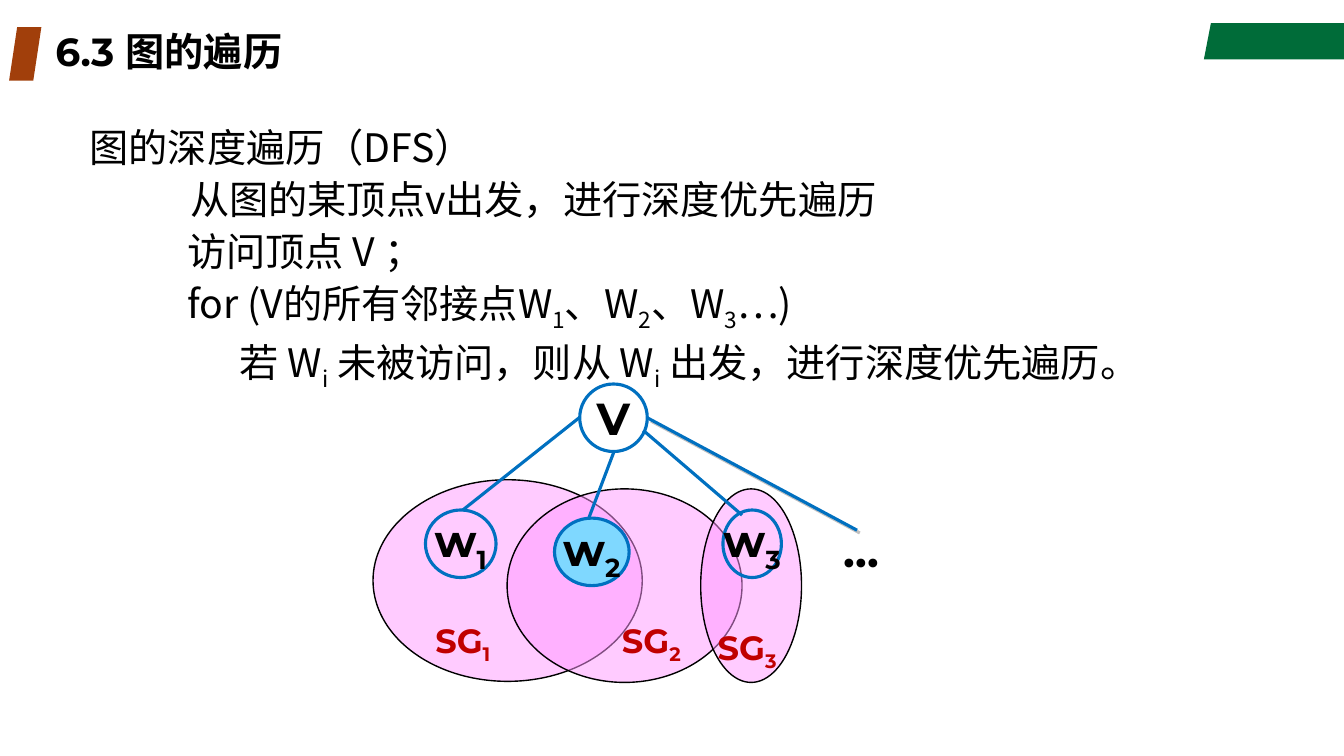
import pptx
import pptx.util
import pptx.dml.color
import pptx.enum.shapes
import pptx.enum.text
import pptx.oxml
import pptx.oxml.ns
from lxml import etree

Inches, Pt = pptx.util.Inches, pptx.util.Pt
RGBColor = pptx.dml.color.RGBColor
SHAPE = pptx.enum.shapes.MSO_SHAPE
ALIGN = pptx.enum.text.PP_ALIGN
ANCHOR = pptx.enum.text.MSO_ANCHOR
qn = pptx.oxml.ns.qn

BLACK = RGBColor(0x00, 0x00, 0x00)
GREEN = RGBColor(0x00, 0x6C, 0x39)
BROWN = RGBColor(0xA1, 0x3F, 0x0B)
BLUE = RGBColor(0x00, 0x70, 0xC0)
PINK = RGBColor(0xFF, 0x99, 0xFF)
CYAN = RGBColor(0x00, 0xFF, 0xFF)
RED = RGBColor(0xC0, 0x00, 0x00)
GREY = RGBColor(0xC0, 0xC0, 0xC0)
HEAD_FONT = "Montserrat"
BODY_FONT = "Noto Sans CJK SC"


def add_runs(p, texts, size, color=BLACK, font=HEAD_FONT, bold=True):
    for i, text in enumerate(texts):
        r = p.add_run()
        r.text = text
        r.font.size = Pt(size)
        r.font.bold = bold
        r.font.color.rgb = color
        r.font.name = font
        rPr = r.font._element
        etree.SubElement(rPr, qn("a:ea")).set("typeface", BODY_FONT)
        if i % 2:
            rPr.set("baseline", "-25000")


def add_ellipse(box, line, width, fill=None):
    sp = s.shapes.add_shape(SHAPE.OVAL, *map(Inches, box))
    sp.shadow.inherit = False
    sp.line.color.rgb = line
    sp.line.width = Pt(width)
    if fill is None:
        sp.fill.background()
    else:
        sp.fill.solid()
        sp.fill.fore_color.rgb = fill
        color = sp._element.spPr.find(qn("a:solidFill"))[0]
        etree.SubElement(color, qn("a:alpha")).set("val", "50000")
    return sp


prs = pptx.Presentation()
prs.slide_width, prs.slide_height = Inches(13.33), Inches(7.5)
s = prs.slides.add_slide(prs.slide_layouts[6])

fb = s.shapes.build_freeform(Inches(12.01), Inches(0.23))
fb.add_line_segments([(Inches(x), Inches(y)) for x, y in [(13.33, 0.23), (13.33, 0.59), (11.94, 0.59)]])
corner = fb.convert_to_shape()
marker = s.shapes.add_shape(SHAPE.PARALLELOGRAM, Inches(0.09), Inches(0.27), Inches(0.32), Inches(0.53))
for sp, color in [(corner, GREEN), (marker, BROWN)]:
    sp.shadow.inherit = False
    sp.fill.solid()
    sp.fill.fore_color.rgb = color
    sp.line.fill.background()

tf = s.shapes.add_textbox(Inches(0.45), Inches(0.27), Inches(9.45), Inches(0.53)).text_frame
tf.word_wrap = True
tf.vertical_anchor = ANCHOR.MIDDLE
p = tf.paragraphs[0]
p.line_spacing = 0.9
add_runs(p, ["6.3 图的遍历"], 28)

steps = [
    (0, ["图的深度遍历（DFS）"]),
    (1, ["从图的某顶点v出发，进行深度优先遍历"]),
    (0.97, ["访问顶点 V ；"]),
    (0.97, ["for (V的所有邻接点W", "1", "、W", "2", "、W", "3", "…)"]),
    (1.49, ["若 W", "i", " 未被访问，则从 W", "i", " 出发，进行深度优先遍历。"]),
]
tf = s.shapes.add_textbox(Inches(0.79), Inches(1.13), Inches(11.5), Inches(4.76)).text_frame
tf.word_wrap = True
for i, (indent, texts) in enumerate(steps):
    p = tf.paragraphs[0] if i == 0 else tf.add_paragraph()
    p.line_spacing = 1.1
    p._p.get_or_add_pPr().set("marL", str(Inches(indent)))
    add_runs(p, texts, 28, font=BODY_FONT, bold=False)

for box in [(3.7, 4.76, 2.67, 2), (5.03, 4.85, 2.33, 1.92), (6.95, 4.85, 1, 1.92)]:
    add_ellipse(box, BLACK, 1, PINK)

nodes = [
    ((5.75, 3.81, 0.67, 0.67), ["V"], None),
    ((4.22, 5.06, 0.7, 0.67), ["w", "1"], None),
    ((5.5, 5.14, 0.74, 0.67), ["w", "2"], CYAN),
    ((7.17, 5.06, 0.58, 0.67), ["w", "3"], None),
]
for box, texts, fill in nodes:
    tf = add_ellipse(box, BLUE, 2.25, fill).text_frame
    tf.word_wrap = False
    tf.vertical_anchor = ANCHOR.MIDDLE
    p = tf.paragraphs[0]
    p.alignment = ALIGN.CENTER
    add_runs(p, texts, 32)

edges = [
    (5.75, 4.14, 4.59, 5.06),
    (6.09, 4.48, 5.84, 5.14),
    (6.38, 4.27, 7.36, 5.11),
    (6.43, 4.15, 8.5, 5.26),
]
for ends in edges:
    edge = s.shapes.add_connector(pptx.enum.shapes.MSO_CONNECTOR.STRAIGHT, *map(Inches, ends))
    edge.line.color.rgb = BLUE
    edge.line.width = Pt(2.25)
    effects = etree.SubElement(edge._element.spPr, qn("a:effectLst"))
shadow = etree.SubElement(effects, qn("a:outerShdw"), dist=str(Pt(2.8)), dir="2700000", algn="ctr", rotWithShape="0")
etree.SubElement(shadow, qn("a:srgbClr"), val=str(GREY))

labels = [
    ((4.22, 6.1, 0.97, 0.51), ["SG", "1"], 24, RED, ALIGN.LEFT),
    ((6.07, 6.1, 0.94, 0.51), ["SG", "2"], 24, RED, ALIGN.LEFT),
    ((7.02, 6.17, 1.03, 0.51), ["SG", "3"], 24, RED, ALIGN.LEFT),
    ((8.25, 5.14, 0.58, 0.64), ["…"], 32, BLACK, ALIGN.CENTER),
]
for box, texts, size, color, align in labels:
    tf = s.shapes.add_textbox(*map(Inches, box)).text_frame
    tf.word_wrap = True
    p = tf.paragraphs[0]
    p.alignment = align
    add_runs(p, texts, size, color)

prs.save("out.pptx")
